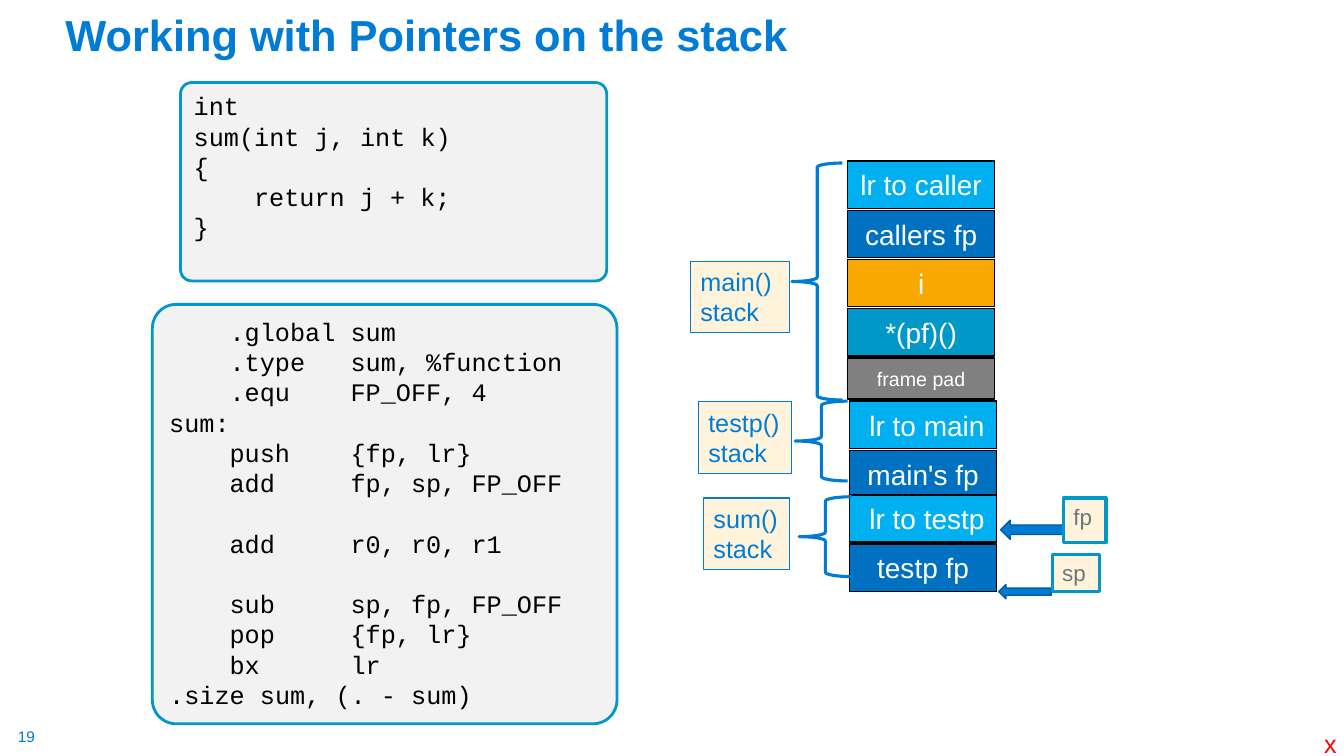
from lxml import etree
from pptx import Presentation
from pptx.dml.color import RGBColor
from pptx.enum.shapes import MSO_SHAPE
from pptx.enum.text import MSO_ANCHOR, PP_ALIGN
from pptx.oxml.ns import qn
from pptx.util import Cm, Pt

RECT, ROUNDED = MSO_SHAPE.RECTANGLE, MSO_SHAPE.ROUNDED_RECTANGLE
BRACE, ARROW = MSO_SHAPE.LEFT_BRACE, MSO_SHAPE.LEFT_ARROW
TOP, MIDDLE, BOTTOM = MSO_ANCHOR.TOP, MSO_ANCHOR.MIDDLE, MSO_ANCHOR.BOTTOM
LEFT, CENTER = PP_ALIGN.LEFT, PP_ALIGN.CENTER

COLORS = {
    "blue": "007CD5", "edge": "005C9E", "teal": "0098C9", "sky": "00B0F0",
    "deep": "0070C0", "amber": "F7A901", "gray": "808080", "slate": "6B767D",
    "cream": "FFF4DB", "panel": "F2F2F2", "black": "000000",
    "white": "FFFFFF", "red": "FF0000",
}

TITLE = "Working with Pointers on the stack"
C_CODE = [["int", "sum(int j, int k)", "{", "\treturn j + k;", "}"]]
ASSEMBLY = [
    ["\t.global\tsum", "\t.type\tsum, %function", "\t.equ\tFP_OFF, 4", "sum:",
     "\tpush\t{fp, lr}", "\tadd\tfp, sp, FP_OFF"],
    ["\tadd\tr0, r0, r1"],
    ["\tsub\tsp, fp, FP_OFF", "\tpop\t{fp, lr}", "\tbx\tlr",
     ".size sum, (. - sum)"],
]
PANELS = [
    (C_CODE, (4.55, 2.08, 10.74, 5.0)),
    (ASSEMBLY, (3.84, 7.67, 11.71, 10.57)),
]
FRAMES = [
    {"label": "main()", "label_box": (17.4, 6.58, 2.51, 1.8),
     "brace": (19.96, 4.11, 1.27, 5.97), "corner": (21.36, 4.06),
     "slots": [("lr to caller", "sky"), ("callers fp", "deep"), ("i", "amber"),
               ("*(pf)()", "teal"), ("frame pad", "gray")]},
    {"label": "testp()", "label_box": (17.6, 10.13, 2.34, 1.8),
     "brace": (20.04, 10.11, 1.32, 2.01), "corner": (21.41, 10.11),
     "slots": [(" lr to main", "sky"), ("main's fp", "deep")]},
    {"label": "sum()", "label_box": (17.73, 12.55, 2.16, 1.8),
     "brace": (20.14, 12.52, 1.32, 2.01), "corner": (21.41, 12.47),
     "slots": [(" lr to testp", "sky"), ("testp fp", "deep")]},
]
REGISTERS = [
    ("fp", (26.8, 12.55, 1.07, 1.12), (25.22, 13.11, 1.57, 0.48)),
    ("sp", (26.52, 13.97, 1.19, 0.94), (25.17, 14.73, 1.32, 0.36)),
]
SLOT_WIDTH, SLOT_HEIGHT, PAD_HEIGHT, SLOT_PITCH = 3.71, 1.19, 1.04, 1.24
CODE_TABS = (1.52, 4.57)
CODE_LINE = 21.6


def rgb(name):
    return RGBColor.from_string(COLORS[name])


def write(shape, groups, size=18, color="black", font="Arial", bold=False,
          align=LEFT, anchor=TOP, wrap=True, spacing=None, tabs=()):
    """Fill a shape with groups of lines, one blank line's height between groups."""
    frame = shape.text_frame
    frame.word_wrap, frame.vertical_anchor = wrap, anchor
    lines = [(text, number > 0 and row == 0)
             for number, group in enumerate(groups)
             for row, text in enumerate(group)]
    for index, (text, opens_group) in enumerate(lines):
        paragraph = frame.add_paragraph() if index else frame.paragraphs[0]
        paragraph.alignment = align
        if spacing:
            paragraph.line_spacing = spacing
        if opens_group:
            paragraph.space_before = Pt(CODE_LINE)
        if tabs:
            stops = etree.SubElement(paragraph._p.get_or_add_pPr(), qn("a:tabLst"))
            for stop in tabs:
                etree.SubElement(stops, qn("a:tab"), pos=str(Cm(stop)), algn="l")
        run = paragraph.add_run()
        run.text = text
        run.font.size, run.font.name, run.font.bold = Pt(size), font, bold
        run.font.color.rgb = rgb(color)


def draw(slide, kind, box, fill, line, weight):
    shape = slide.shapes.add_shape(kind, *map(Cm, box))
    shape.shadow.inherit = False
    if fill:
        shape.fill.solid()
        shape.fill.fore_color.rgb = rgb(fill)
    else:
        shape.fill.background()
    shape.line.color.rgb = rgb(line)
    shape.line.width = Pt(weight)
    return shape


def caption(slide, box, text, **look):
    write(slide.shapes.add_textbox(*map(Cm, box)), [[text]], **look)


def draw_frame(slide, frame):
    left, top = frame["corner"]
    for row, (text, fill) in enumerate(frame["slots"]):
        is_pad = text == "frame pad"
        height = PAD_HEIGHT if is_pad else SLOT_HEIGHT
        slot = draw(slide, RECT, (left, top + row * SLOT_PITCH, SLOT_WIDTH, height),
                    fill, "black", 1)
        write(slot, [[text]], size=14 if is_pad else 20, color="white",
              align=CENTER, anchor=MIDDLE)
    label = draw(slide, RECT, frame["label_box"], "cream", "blue", 0.75)
    write(label, [[frame["label"], "stack"]], color="blue", wrap=False)
    draw(slide, BRACE, frame["brace"], None, "blue", 2.25)


def main():
    deck = Presentation()
    deck.slide_width, deck.slide_height = Cm(33.87), Cm(19.05)
    slide = deck.slides.add_slide(deck.slide_layouts[6])

    caption(slide, (1.4, 0.33, 29.21, 1.32), TITLE, size=31, color="blue",
            bold=True, anchor=BOTTOM, spacing=0.9)
    caption(slide, (0.2, 18.19, 1.0, 0.74), "19", size=11, color="blue")
    caption(slide, (33.12, 18.24, 0.84, 1.02), "x", color="red", wrap=False)

    for code, box in PANELS:
        panel = draw(slide, ROUNDED, box, "panel", "teal", 2)
        panel.adjustments[0] = 0.057
        write(panel, code, font="Courier New", tabs=CODE_TABS)

    for frame in FRAMES:
        draw_frame(slide, frame)

    for name, box, arrow in REGISTERS:
        draw(slide, ARROW, arrow, "blue", "edge", 1)
        write(draw(slide, RECT, box, "cream", "teal", 2.5), [[name]],
              size=16, color="slate")

    deck.save("out.pptx")


if __name__ == "__main__":
    main()
